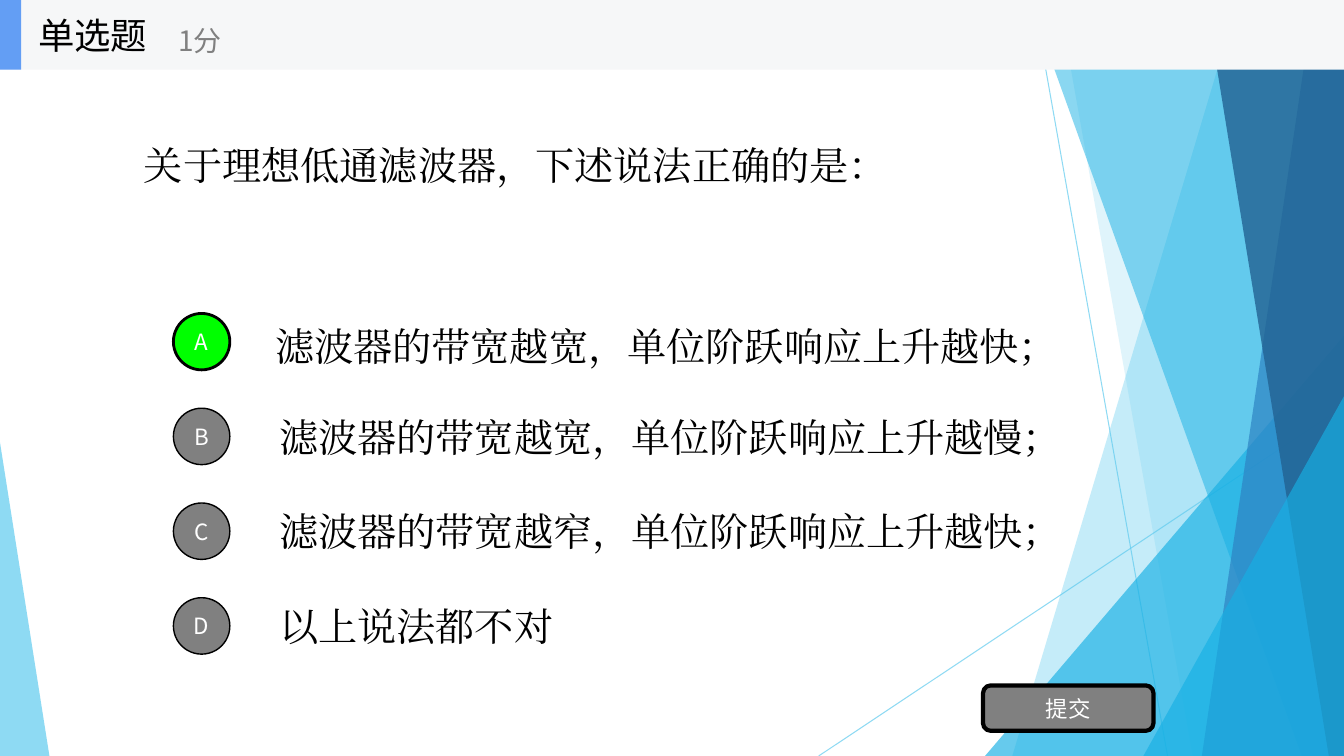
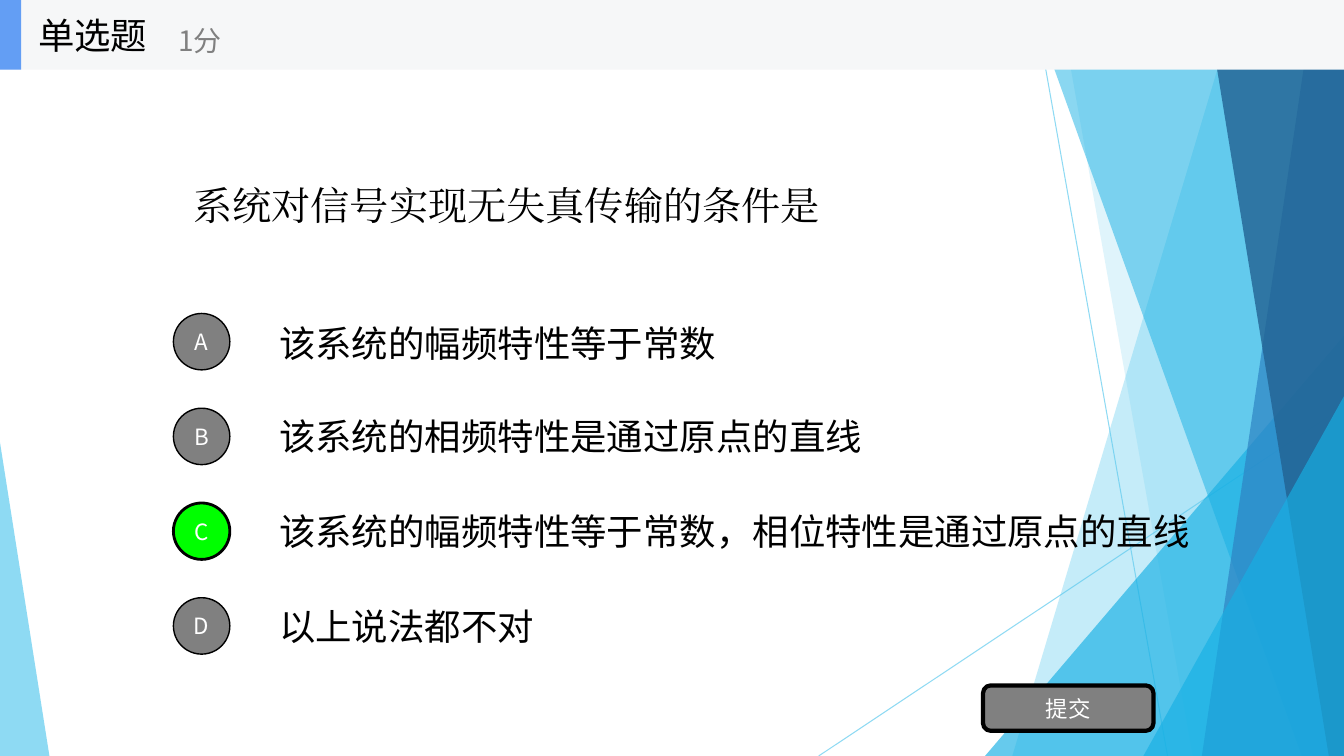
from lxml import etree
from pptx import Presentation
from pptx import util as u
from pptx.dml.color import RGBColor
from pptx.enum import shapes, text
from pptx.oxml.ns import qn

WIDTH, HEIGHT = 13.33, 7.5
SKY, CYAN, BLUE, NAVY = "5FCBEF", "17B0E4", "2E83C3", "226292"
BLACK, WHITE, GREY, GREEN = "000000", "FFFFFF", "808080", "00FF00"
BAND, ACCENT = "F6F7F8", "639EF4"
SANS, SERIF = "Noto Sans CJK SC", "Times New Roman"

RAYS = [((10.25, 0), (11.58, HEIGHT)), ((WIDTH, 4.03), (8.12, HEIGHT))]
# PANELS
PANELS = [
    (SKY, 36, 12.28, 10.04, 0),
    (SKY, 20, 10.5, 11.83, 0),
    (CYAN, 66, WIDTH, 9.77, 3.33),
    (CYAN, 50, 10.21, 12.91, 0),
    (BLUE, 70, 13.03, 11.92, 0),
    (NAVY, 80, 11.96, 13.18, 0),
    (CYAN, 66, WIDTH, 11.34, 3.93),
]
QUESTIONS = [
    {
        "stem": "关于理想低通滤波器，下述说法正确的是：",
        "stem_at": (1.33, 0.47),
        "first_at": (2.63, 3.08),
        "answer": "A",
        "style": (28, SERIF),
        "options": [
            "滤波器的带宽越宽，单位阶跃响应上升越快；",
            "滤波器的带宽越宽，单位阶跃响应上升越慢；",
            "滤波器的带宽越窄，单位阶跃响应上升越快；",
            "以上说法都不对",
        ],
    },
    {
        "stem": "系统对信号实现无失真传输的条件是",
        "stem_at": (1.82, 0.86),
        "first_at": (2.67, 3.05),
        "answer": "C",
        "style": (26, SANS),
        "options": [
            "该系统的幅频特性等于常数",
            "该系统的相频特性是通过原点的直线",
            "该系统的幅频特性等于常数，相位特性是通过原点的直线",
            "以上说法都不对",
        ],
    },
]


def tint(fill, colour, opacity=100):
    fill.solid()
    fill.fore_color.rgb = RGBColor.from_string(colour)
    if opacity < 100:
        colour_node = fill._xPr.find(qn("a:solidFill"))[0]
        etree.SubElement(colour_node, qn("a:alpha"), val=str(opacity * 1000))


def write(shape, words, size, font=SANS, colour=BLACK, centred=False):
    frame = shape.text_frame
    frame.word_wrap = True
    frame.vertical_anchor = text.MSO_ANCHOR.MIDDLE
    paragraph = frame.paragraphs[0]
    paragraph.alignment = text.PP_ALIGN.CENTER if centred else text.PP_ALIGN.LEFT
    run = paragraph.add_run()
    run.text = words
    run.font.size = u.Pt(size)
    run.font.name = font
    tint(run.font.fill, colour)
    east_asian = etree.Element(qn("a:ea"), typeface=font)
    run.font._element.find(qn("a:latin")).addnext(east_asian)


deck = Presentation()
deck.slide_width, deck.slide_height = u.Inches(WIDTH), u.Inches(HEIGHT)

for question in QUESTIONS:
    slide = deck.slides.add_slide(deck.slide_layouts[6])
    tint(slide.background.fill, WHITE)
    parts = slide.shapes

    for start, end in RAYS:
        ray = parts.add_connector(
            shapes.MSO_CONNECTOR.STRAIGHT, *[u.Inches(v) for v in start + end])
        ray.line.width = u.Pt(0.75)
        tint(ray.line.fill, SKY, 70)
        etree.SubElement(ray._element.spPr, qn("a:effectLst"))

    for colour, opacity, top_x, foot_x, peak in PANELS:
        if peak:
            panel = parts.add_shape(
                shapes.MSO_SHAPE.ISOSCELES_TRIANGLE, u.Inches(foot_x), u.Inches(peak),
                u.Inches(WIDTH - foot_x), u.Inches(HEIGHT - peak))
            panel.adjustments[0] = 1
        else:
            outline = parts.build_freeform(u.Inches(top_x), 0)
            corners = [(WIDTH, 0), (WIDTH, HEIGHT), (foot_x, HEIGHT)]
            outline.add_line_segments([(u.Inches(x), u.Inches(y)) for x, y in corners])
            panel = outline.convert_to_shape()
        panel.shadow.inherit = False
        panel.line.fill.background()
        tint(panel.fill, colour, opacity)

    wedge = parts.add_shape(
        shapes.MSO_SHAPE.ISOSCELES_TRIANGLE, 0, u.Inches(4.39), u.Inches(0.49), u.Inches(3.11))
    wedge.adjustments[0] = 0
    wedge.shadow.inherit = False
    wedge.line.fill.background()
    tint(wedge.fill, SKY, 70)

    left, top = question["stem_at"]
    stem = parts.add_textbox(u.Inches(left), u.Inches(top), u.Inches(10.67), u.Inches(2.34))
    write(stem, question["stem"], 28, SERIF)

    buttons = []
    for row, (letter, words) in enumerate(zip("ABCD", question["options"])):
        left, top = (2.67, 3.04 + 0.94 * row) if row else question["first_at"]
        option = parts.add_textbox(u.Inches(left), u.Inches(top), u.Inches(9.33), u.Inches(0.7))
        write(option, words, *question["style"])
        correct = letter == question["answer"]
        buttons.append((shapes.MSO_SHAPE.OVAL, (1.72, 3.11 + 0.94 * row, 0.56, 0.56),
                        letter, GREEN if correct else GREY, 2 if correct else 1))
    buttons.append((shapes.MSO_SHAPE.ROUNDED_RECTANGLE, (9.75, 6.8, 1.69, 0.45), "提交", GREY, 3))

    for kind, box, label, colour, weight in buttons:
        button = parts.add_shape(kind, *[u.Inches(v) for v in box])
        button.shadow.inherit = False
        tint(button.fill, colour)
        tint(button.line.fill, BLACK)
        button.line.width = u.Pt(weight)
        frame = button.text_frame
        frame.margin_left = frame.margin_right = frame.margin_top = frame.margin_bottom = 0
        write(button, label, 16, colour=WHITE, centred=True)

    for width, colour in [(WIDTH, BAND), (0.21, ACCENT)]:
        header = parts.add_shape(
            shapes.MSO_SHAPE.RECTANGLE, 0, 0, u.Inches(width), u.Inches(0.69))
        header.shadow.inherit = False
        header.line.fill.background()
        tint(header.fill, colour)

    for box, words, size, colour in [((0.28, 0, 2.08, 0.69), "单选题", 26, BLACK),
                                     ((1.67, 0.12, 2.5, 0.56), "1分", 20, GREY)]:
        caption = parts.add_textbox(*[u.Inches(v) for v in box])
        write(caption, words, size, colour=colour)

deck.save("out.pptx")
